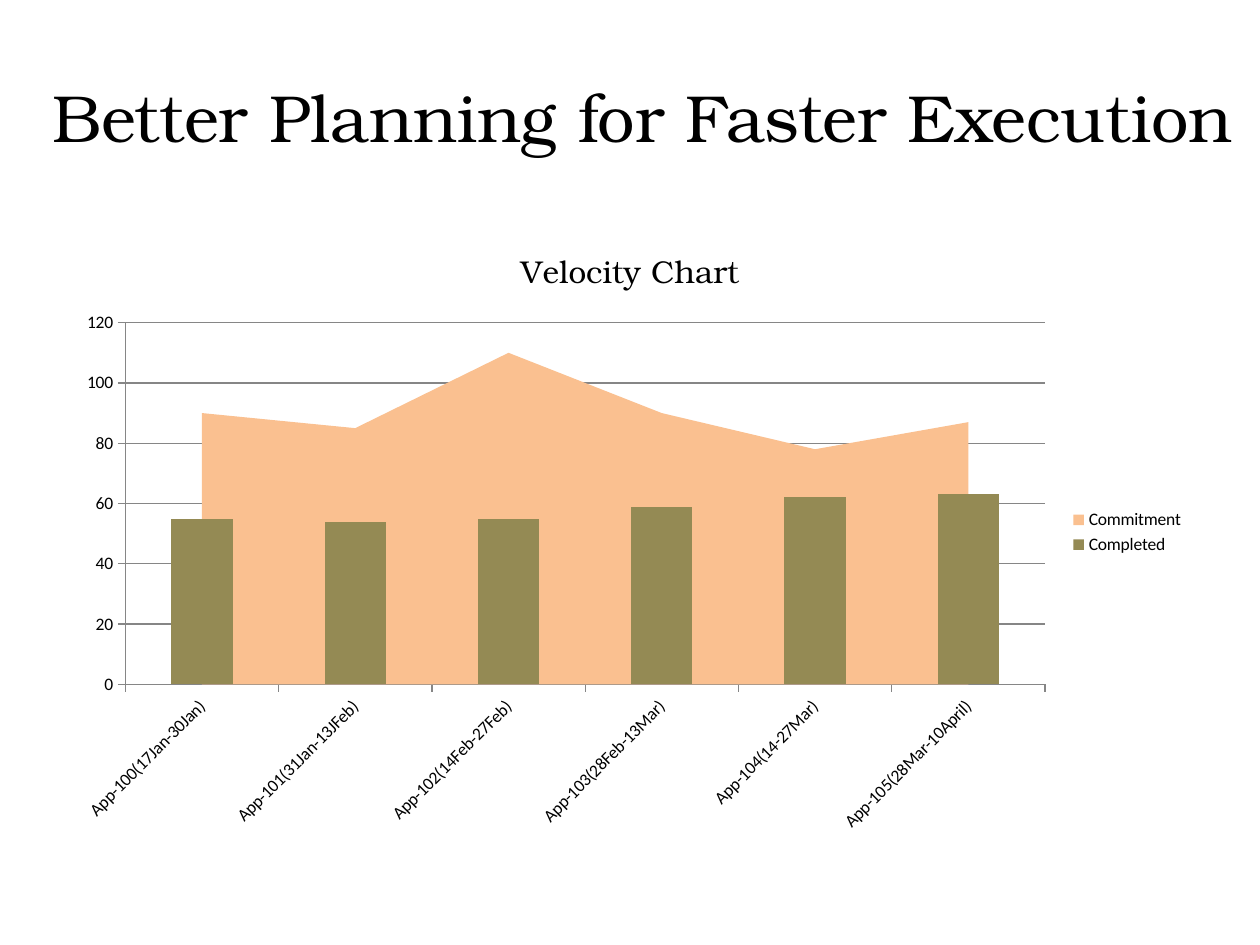
from dataclasses import dataclass

from lxml.etree import SubElement
from pptx import Presentation
from pptx.chart.chart import Chart
from pptx.chart.data import CategoryChartData
from pptx.dml.color import RGBColor
from pptx.enum.chart import XL_CHART_TYPE, XL_LEGEND_POSITION, XL_TICK_MARK
from pptx.enum.text import MSO_ANCHOR, MSO_AUTO_SIZE, PP_ALIGN
from pptx.oxml import parse_xml
from pptx.oxml.ns import nsdecls, qn
from pptx.util import Inches, Pt


@dataclass(frozen=True)
class Theme:
    heading_font: str = "TeX Gyre Bonum"
    body_font: str = "Calibri"
    title_size: int = 38
    chart_title_size: int = 18
    label_size: int = 10
    text: str = "000000"
    axis: str = "868686"


@dataclass(frozen=True)
class Area:
    left: float
    top: float
    width: float
    height: float

    def on_page(self) -> tuple[int, int, int, int]:
        return (int(self.left * PAGE_WIDTH), int(self.top * PAGE_HEIGHT),
                int(self.width * PAGE_WIDTH), int(self.height * PAGE_HEIGHT))


@dataclass(frozen=True)
class Measure:
    name: str
    values: tuple[int, ...]
    color: str


THEME = Theme()
PAGE_WIDTH, PAGE_HEIGHT = Inches(10), Inches(7.5)
TITLE_AREA = Area(0.025, 0.04, 0.97, 0.165)
CHART_AREA = Area(0.05, 0.2333, 0.9, 0.66)
PLOT_AREA = Area(0.055, 0.164, 0.811, 0.58)
SPRINTS = ("App-100(17Jan-30Jan)", "App-101(31Jan-13JFeb)", "App-102(14Feb-27Feb)",
           "App-103(28Feb-13Mar)", "App-104(14-27Mar)", "App-105(28Mar-10April)")
MEASURES = (
    Measure("Commitment", (90, 85, 110, 90, 78, 87), "FAC090"),
    Measure("Completed", (55, 54, 55, 59, 62, 63), "948A54"),
)


def style_font(font, name: str, size: int) -> None:
    font.name = name
    font.size = Pt(size)
    font.bold = False
    font.color.rgb = RGBColor.from_string(THEME.text)


def write_title(title, text: str) -> None:
    title.left, title.top, title.width, title.height = TITLE_AREA.on_page()
    frame = title.text_frame
    frame.text = text
    frame.auto_size = MSO_AUTO_SIZE.NONE
    frame.word_wrap = True
    frame.vertical_anchor = MSO_ANCHOR.MIDDLE
    para = frame.paragraphs[0]
    para.alignment = PP_ALIGN.CENTER
    style_font(para.runs[0].font, THEME.heading_font, THEME.title_size)


def move_last_series_to_columns(chart: Chart) -> None:
    area_plot = chart.plots[0]
    series = area_plot.series[-1]._element
    columns = parse_xml(
        f'<c:barChart {nsdecls("c")}><c:barDir val="col"/>'
        '<c:grouping val="clustered"/><c:varyColors val="0"/></c:barChart>')
    area_plot._element.addnext(columns)
    columns.append(series)
    SubElement(columns, qn("c:gapWidth")).set("val", "150")
    for axis_id in area_plot._element.findall(qn("c:axId")):
        SubElement(columns, qn("c:axId")).set("val", axis_id.get("val"))
    for crossing in chart._chartSpace.iter(qn("c:crossBetween")):
        crossing.set("val", "between")


def place_plot(chart: Chart, area: Area) -> None:
    plot_area = chart._chartSpace.chart.plotArea
    for layout in plot_area.findall(qn("c:layout")):
        plot_area.remove(layout)
    layout = parse_xml(
        f'<c:layout {nsdecls("c")}><c:manualLayout><c:layoutTarget val="inner"/>'
        '<c:xMode val="edge"/><c:yMode val="edge"/>'
        f'<c:x val="{area.left}"/><c:y val="{area.top}"/>'
        f'<c:w val="{area.width}"/><c:h val="{area.height}"/>'
        '</c:manualLayout></c:layout>')
    plot_area.insert(0, layout)


def style_axes(chart: Chart) -> None:
    category_axis, value_axis = chart.category_axis, chart.value_axis
    category_axis.has_major_gridlines = False
    value_axis.has_major_gridlines = True
    value_axis.minimum_scale, value_axis.maximum_scale = 0, 120
    value_axis.major_unit = 20
    for axis in (category_axis, value_axis):
        axis.major_tick_mark = XL_TICK_MARK.OUTSIDE
        axis.minor_tick_mark = XL_TICK_MARK.NONE
        style_font(axis.tick_labels.font, THEME.body_font, THEME.label_size)
    for line in (category_axis.format.line, value_axis.format.line,
                 value_axis.major_gridlines.format.line):
        line.color.rgb = RGBColor.from_string(THEME.axis)
        line.width = Pt(0.75)
    label_body = category_axis._element.find(qn("c:txPr")).find(qn("a:bodyPr"))
    label_body.set("rot", "-2700000")
    label_body.set("vert", "horz")


def draw_velocity_chart(slide) -> None:
    data = CategoryChartData()
    data.categories = SPRINTS
    for measure in MEASURES:
        data.add_series(measure.name, measure.values)
    chart = slide.shapes.add_chart(
        XL_CHART_TYPE.AREA, *CHART_AREA.on_page(), data).chart
    style_font(chart.font, THEME.body_font, THEME.label_size)
    chart.has_title = True
    title_frame = chart.chart_title.text_frame
    title_frame.text = "Velocity Chart"
    style_font(title_frame.paragraphs[0].runs[0].font,
               THEME.heading_font, THEME.chart_title_size)
    chart.chart_title.include_in_layout = False
    chart.has_legend = True
    chart.legend.position = XL_LEGEND_POSITION.RIGHT
    chart.legend.include_in_layout = False
    chart.plots[0].vary_by_categories = False
    for series, measure in zip(chart.plots[0].series, MEASURES):
        series.format.fill.solid()
        series.format.fill.fore_color.rgb = RGBColor.from_string(measure.color)
    style_axes(chart)
    move_last_series_to_columns(chart)
    place_plot(chart, PLOT_AREA)


def main() -> None:
    deck = Presentation()
    deck.slide_width, deck.slide_height = PAGE_WIDTH, PAGE_HEIGHT
    slide = deck.slides.add_slide(deck.slide_layouts.get_by_name("Title Only"))
    write_title(slide.shapes.title, "Better Planning for Faster Execution")
    draw_velocity_chart(slide)
    deck.save("out.pptx")


if __name__ == "__main__":
    main()
